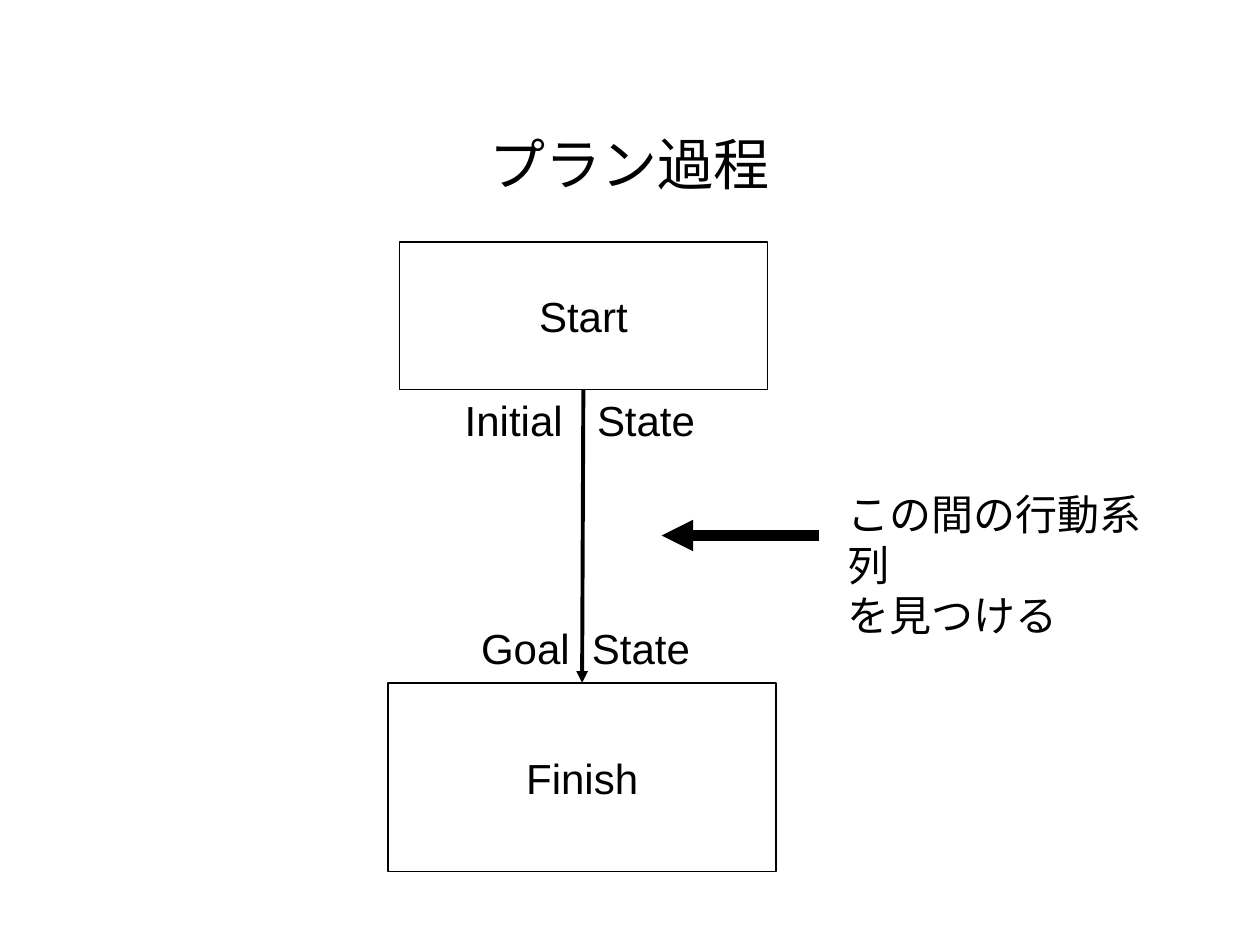
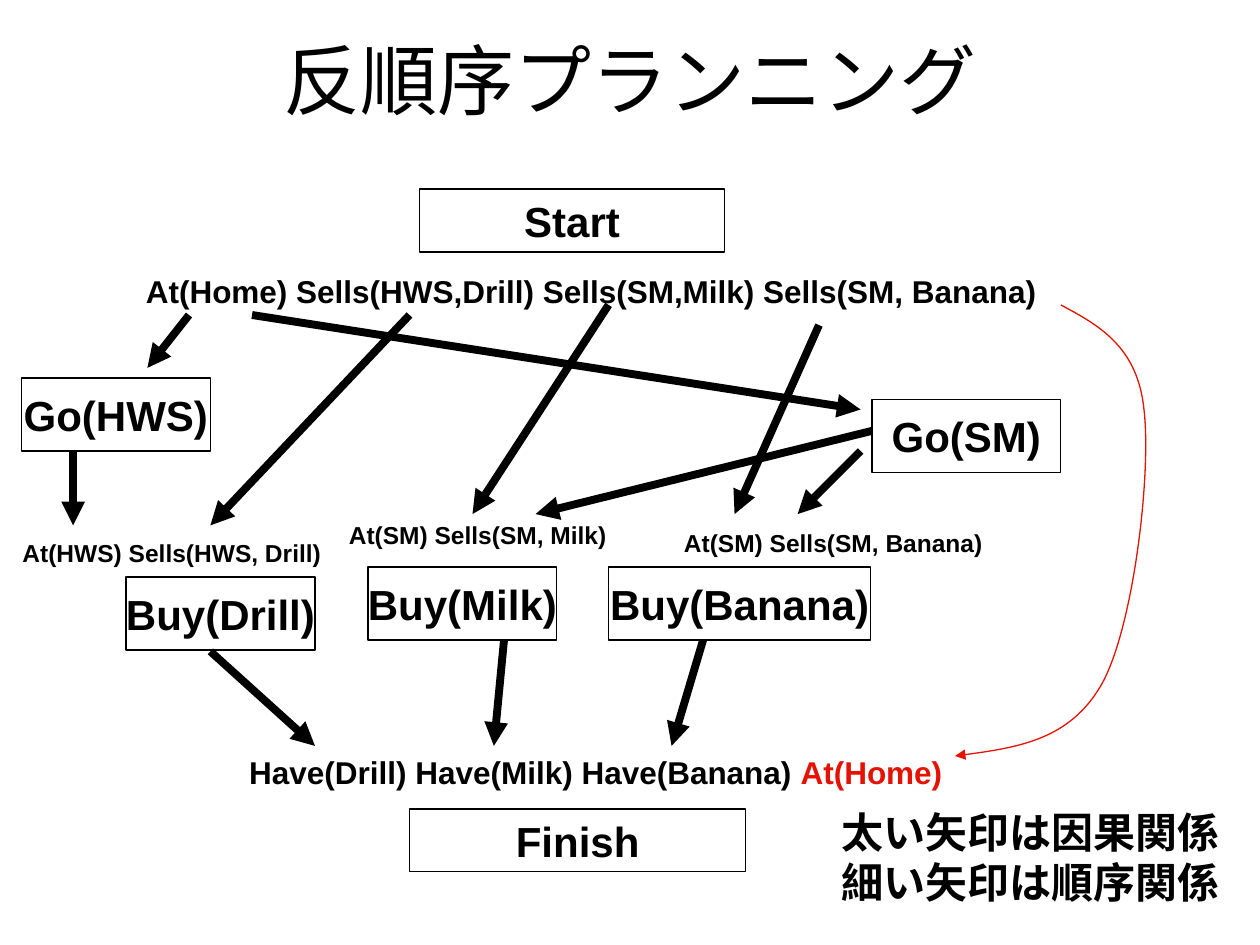
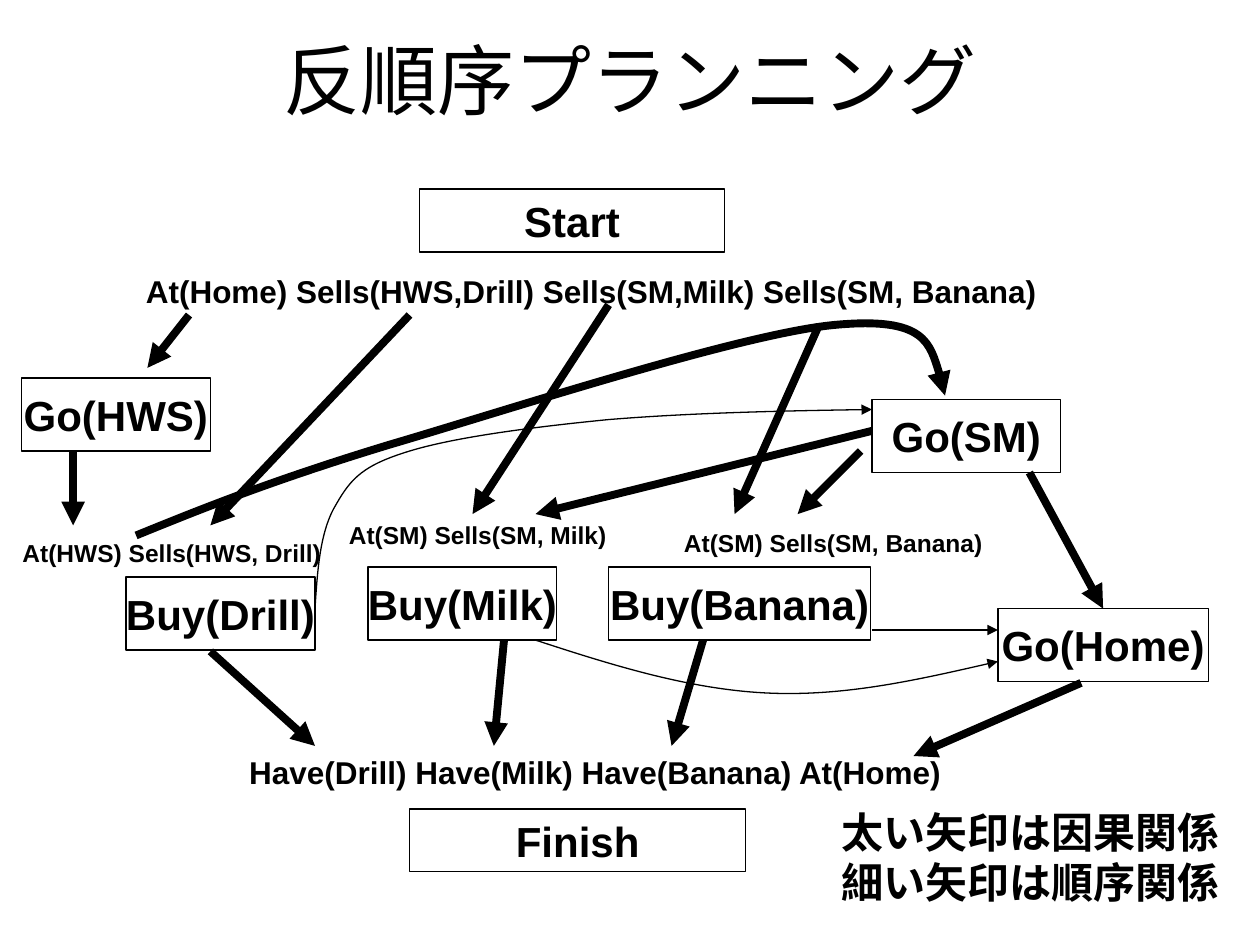
from dataclasses import dataclass

from pptx import Presentation
from pptx.dml.color import RGBColor
from pptx.enum.shapes import MSO_CONNECTOR, MSO_SHAPE
from pptx.enum.text import MSO_ANCHOR, MSO_AUTO_SIZE, PP_ALIGN
from pptx.oxml.ns import qn
from pptx.util import Inches, Pt
from lxml import etree

RECTANGLE = MSO_SHAPE.RECTANGLE
STRAIGHT = MSO_CONNECTOR.STRAIGHT
CENTER = PP_ALIGN.CENTER
LEFT = PP_ALIGN.LEFT
MIDDLE = MSO_ANCHOR.MIDDLE
TOP, BOTTOM = 0, 2
TITLE_ONLY = 5


@dataclass(frozen=True)
class Theme:
    font: str = "Arial"
    ink: RGBColor = RGBColor(0x00, 0x00, 0x00)
    paper: RGBColor = RGBColor(0xFF, 0xFF, 0xFF)
    accent: RGBColor = RGBColor(0xE3, 0x12, 0x02)
    title: int = 44
    small_title: int = 32
    large: int = 24
    medium: int = 18
    small: int = 14
    thin: float = 0.75
    flow: float = 2.25
    causal: float = 4.5
    pointer: float = 6


THEME = Theme()

# Boxes: name -> left, top, width, height
PROCESS_BOXES = {
    "Start": (3.17, 1.92, 2.92, 1.17),
    "Finish": (3.08, 5.42, 3.08, 1.5),
}
PLAN_BOXES = {
    "Start": (3.33, 1.5, 2.42, 0.5),
    "Finish": (3.25, 6.42, 2.67, 0.5),
    "Buy(Drill)": (1, 4.58, 1.5, 0.58),
    "Buy(Milk)": (2.92, 4.5, 1.5, 0.58),
    "Buy(Banana)": (4.83, 4.5, 2.08, 0.58),
    "Go(HWS)": (0.17, 3, 1.5, 0.58),
    "Go(SM)": (6.92, 3.17, 1.5, 0.58),
}
GO_HOME_BOX = {"Go(Home)": (7.92, 4.83, 1.67, 0.58)}

# Labels: place, type size, lines of (text, colour) spans, tab stop
PROCESS_LABELS = [
    ((3.59, 3.08, 2.03, 0.5), THEME.large, [[("Initial\tState", THEME.ink)]], 1.05),
    ((3.72, 4.89, 1.87, 0.5), THEME.large, [[("Goal\tState", THEME.ink)]], 0.88),
    ((6.63, 3.83, 2.86, 0.9), THEME.large,
     [[("この間の行動系列", THEME.ink)], [("を見つける", THEME.ink)]], None),
]
PLAN_LABELS = [
    ((1.06, 2.11, 7.34, 0.4), THEME.medium,
     [[("At(Home) Sells(HWS,Drill) Sells(SM,Milk) Sells(SM, Banana)", THEME.ink)]], None),
    ((0.08, 4.22, 2.57, 0.34), THEME.small, [[("At(HWS) Sells(HWS, Drill)", THEME.ink)]], None),
    ((2.67, 4.08, 2.25, 0.34), THEME.small, [[("At(SM) Sells(SM, Milk)", THEME.ink)]], None),
    ((5.33, 4.14, 2.57, 0.34), THEME.small, [[("At(SM) Sells(SM, Banana)", THEME.ink)]], None),
    ((6.58, 6.35, 3.2, 0.9), THEME.large,
     [[("太い矢印は因果関係", THEME.ink)], [("細い矢印は順序関係", THEME.ink)]], None),
]

# Arrows: start, end, weight; an end is a point or a (box name, side)
PROCESS_ARROWS = [
    (("Start", BOTTOM), ("Finish", TOP), THEME.flow),
    ((6.5, 4.25), (5.25, 4.25), THEME.pointer),
]
PLAN_ARROWS = [
    ((1.67, 5.17), (2.5, 5.92), THEME.causal),
    ((4, 5.08), (3.92, 5.92), THEME.causal),
    ((5.58, 5.08), (5.33, 5.92), THEME.causal),
    ((3.25, 2.5), (1.67, 4.17), THEME.causal),
    ((4.83, 2.42), (3.75, 4.08), THEME.causal),
    ((6.5, 2.58), (5.83, 4.08), THEME.causal),
    ((1.5, 2.5), (1.17, 2.92), THEME.causal),
    ((0.58, 3.58), (0.58, 4.17), THEME.causal),
    ((6.92, 3.42), (4.25, 4.08), THEME.causal),
    ((6.83, 3.58), (6.33, 4.08), THEME.causal),
]
HOME_TO_SM_ARROW = [((2, 2.5), (6.83, 3.25), THEME.causal)]
GO_HOME_ARROWS = [
    ((8.17, 3.75), ("Go(Home)", TOP), THEME.causal),
    ((8.58, 5.42), (7.25, 6), THEME.causal),
    ((6.92, 5), (7.92, 5), THEME.thin),
]

# Curves: start and Bézier points in threes, weight, colour
START_TO_FINISH_CURVE = [
    ([(8.42, 2.42), (8.72, 2.58), (9.03, 2.75), (9.08, 3.25), (9.14, 3.75),
      (9, 4.96), (8.75, 5.42), (8.5, 5.87), (8.04, 5.94), (7.58, 6)],
     THEME.thin, THEME.accent),
]
GO_HOME_CURVES = [
    ([(1.08, 4.25), (1.62, 4.03), (2.17, 3.81), (3.09, 3.53), (4.01, 3.26),
      (5.88, 2.65), (6.62, 2.58), (7.35, 2.51), (7.43, 2.83), (7.5, 3.14)],
     THEME.causal, THEME.ink),
    ([(2.5, 4.83), (2.52, 4.52), (2.54, 4.21), (2.67, 4), (2.79, 3.79),
      (2.89, 3.69), (3.25, 3.58), (3.61, 3.47), (4.22, 3.39), (4.83, 3.33),
      (5.44, 3.28), (6.18, 3.26), (6.92, 3.25)],
     THEME.thin, THEME.ink),
    ([(4.25, 5.08), (4.86, 5.28), (5.47, 5.47), (6.08, 5.5), (6.69, 5.53),
      (7.31, 5.39), (7.92, 5.25)],
     THEME.thin, THEME.ink),
]


def plan_slide(goal_colour, extra_boxes, extra_arrows, curves):
    goal = [("Have(Drill) Have(Milk) Have(Banana) ", THEME.ink), ("At(Home)", goal_colour)]
    goal_label = ((1.88, 5.93, 5.7, 0.4), THEME.medium, [goal], None)
    return {
        "title": "反順序プランニング", "title_top": 0, "title_size": THEME.title, "bold": True,
        "boxes": {**PLAN_BOXES, **extra_boxes},
        "labels": PLAN_LABELS + [goal_label],
        "arrows": PLAN_ARROWS + extra_arrows,
        "curves": curves,
    }


SLIDES = [
    {
        "title": "プラン過程", "title_top": 0.67, "title_size": THEME.small_title, "bold": False,
        "boxes": PROCESS_BOXES, "labels": PROCESS_LABELS,
        "arrows": PROCESS_ARROWS, "curves": [],
    },
    plan_slide(THEME.accent, {}, HOME_TO_SM_ARROW, START_TO_FINISH_CURVE),
    plan_slide(THEME.ink, GO_HOME_BOX, GO_HOME_ARROWS, GO_HOME_CURVES),
]


def inches(values):
    return [Inches(value) for value in values]


def add_span(para, text, size, bold=False, colour=THEME.ink):
    span = para.add_run()
    span.text = text
    span.font.name = THEME.font
    span.font.size = Pt(size)
    span.font.bold = bold
    span.font.color.rgb = colour


def add_title(page, text, top, size):
    title = page.shapes.title
    title.left, title.top, title.width, title.height = inches((0.75, top, 8.5, 1.25))
    title.text_frame.vertical_anchor = MIDDLE
    para = title.text_frame.paragraphs[0]
    para.alignment = CENTER
    add_span(para, text, size)


def add_box(page, name, place, bold):
    box = page.shapes.add_shape(RECTANGLE, *inches(place))
    box.shadow.inherit = False
    box.fill.solid()
    box.fill.fore_color.rgb = THEME.paper
    box.line.color.rgb = THEME.ink
    box.line.width = Pt(THEME.thin)
    box.text_frame.word_wrap = False
    box.text_frame.vertical_anchor = MIDDLE
    para = box.text_frame.paragraphs[0]
    para.alignment = CENTER
    add_span(para, name, THEME.large, bold)
    return box


def add_label(page, place, size, lines, tab, bold):
    frame = page.shapes.add_textbox(*inches(place)).text_frame
    frame.word_wrap = False
    frame.auto_size = MSO_AUTO_SIZE.SHAPE_TO_FIT_TEXT
    for index, spans in enumerate(lines):
        para = frame.add_paragraph() if index else frame.paragraphs[0]
        para.alignment = LEFT
        if tab:
            stops = etree.SubElement(para._p.get_or_add_pPr(), qn("a:tabLst"))
            etree.SubElement(stops, qn("a:tab"), pos=str(Inches(tab)), algn="l")
        for text, colour in spans:
            add_span(para, text, size, bold, colour)


def style_arrow(arrow, weight, colour):
    """Colour the line, put a triangle at its end and drop its shadow."""
    arrow.line.color.rgb = colour
    arrow.line.width = Pt(weight)
    properties = arrow.element.spPr
    etree.SubElement(properties.find(qn("a:ln")), qn("a:tailEnd"), type="triangle")
    etree.SubElement(properties, qn("a:effectLst"))


def add_arrow(page, boxes, start, end, weight):
    ends = [(0, 0) if point[0] in boxes else point for point in (start, end)]
    arrow = page.shapes.add_connector(STRAIGHT, *inches(ends[0] + ends[1]))
    for point, connect in ((start, arrow.begin_connect), (end, arrow.end_connect)):
        if point[0] in boxes:
            connect(boxes[point[0]], point[1])
    style_arrow(arrow, weight, THEME.ink)


def add_curve(page, points, weight, colour):
    """Build an outline through all points, then turn each three segments into a Bézier."""
    first, *rest = [inches(point) for point in points]
    builder = page.shapes.build_freeform(*first)
    builder.add_line_segments(rest, close=False)
    curve = builder.convert_to_shape()
    curve.fill.background()
    segments = list(curve.element.iter(qn("a:lnTo")))
    outline = segments[0].getparent()
    for index in range(0, len(segments), 3):
        bezier = etree.SubElement(outline, qn("a:cubicBezTo"))
        for segment in segments[index:index + 3]:
            bezier.append(segment[0])
            outline.remove(segment)
    style_arrow(curve, weight, colour)


def main():
    deck = Presentation()
    deck.slide_width, deck.slide_height = Inches(10), Inches(7.5)
    for content in SLIDES:
        page = deck.slides.add_slide(deck.slide_layouts[TITLE_ONLY])
        bold = content["bold"]
        add_title(page, content["title"], content["title_top"], content["title_size"])
        boxes = {name: add_box(page, name, place, bold)
                 for name, place in content["boxes"].items()}
        for label in content["labels"]:
            add_label(page, *label, bold)
        for arrow in content["arrows"]:
            add_arrow(page, boxes, *arrow)
        for curve in content["curves"]:
            add_curve(page, *curve)
    deck.save("out.pptx")


if __name__ == "__main__":
    main()
